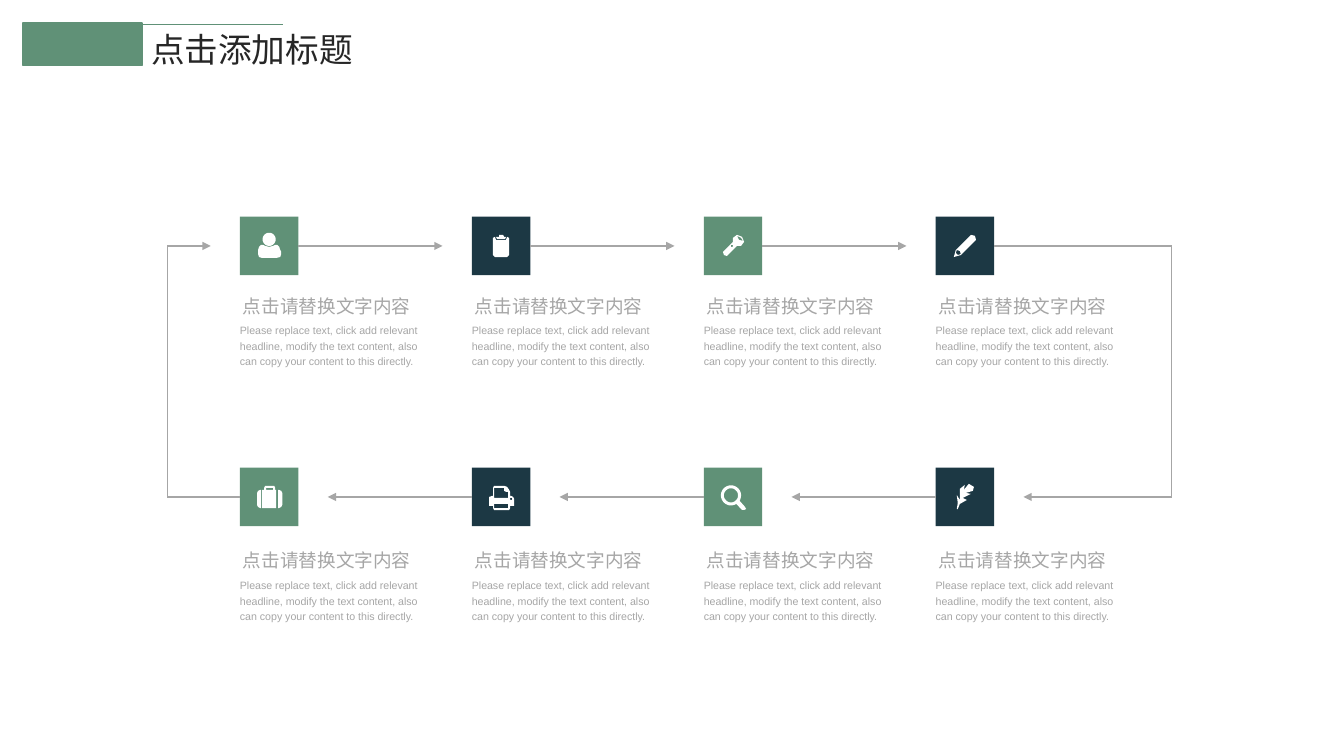
"""Build the eight-step loop slide."""
from math import cos, radians, sin

from pptx import Presentation
from pptx.dml.color import RGBColor
from pptx.enum.shapes import MSO_CONNECTOR, MSO_SHAPE
from pptx.enum.text import MSO_AUTO_SIZE
from pptx.oxml.ns import qn
from pptx.util import Inches, Pt

GREEN = RGBColor(0x60, 0x91, 0x77)
NAVY = RGBColor(0x1C, 0x38, 0x44)
GRAY = RGBColor(0xA6, 0xA6, 0xA6)
DARK = RGBColor(0x26, 0x26, 0x26)
WHITE = RGBColor(0xFF, 0xFF, 0xFF)
RECT = MSO_SHAPE.RECTANGLE
STRAIGHT = MSO_CONNECTOR.STRAIGHT
FIT = MSO_AUTO_SIZE.SHAPE_TO_FIT_TEXT
LEFT_SIDE, RIGHT_SIDE = 1, 3

TITLE = "点击添加标题"
HEADING = "点击请替换文字内容"
BODY = ("Please replace text, click add relevant headline, modify the text "
        "content, also can copy your content to this directly.")
LEFT, STEP, TILE = 2.38, 2.3, 0.58
LOOP_LEFT, LOOP_RIGHT = 1.66, 11.62


def arc(cx, cy, radius, start=0, end=360, count=32):
    """Return points along a circular arc."""
    angles = [radians(start + (end - start) * i / count) for i in range(count + 1)]
    return [(cx + radius * cos(a), cy + radius * sin(a)) for a in angles]


PERSON = [
    [arc(29, 22.5, 6.5)],
    [[(40, 33), (39, 30), (37, 28), (35, 28), (33, 29), (29, 30), (25, 29),
      (23, 28), (21, 28), (19, 30), (18, 33), (18, 37), (19, 40), (22, 41),
      (36, 41), (40, 40), (41, 37), (41, 35)]],
]
CLIPBOARD = [
    [[(35, 20), (34, 23), (24, 23), (23, 20), (21, 21), (21, 38), (23, 40),
      (35, 40), (37, 38), (37, 21)]],
    [[(33, 22), (34, 20), (32, 20), (31, 18), (27, 18), (27, 20), (24, 20),
      (25, 22)]],
]
TORCH = [[
    [(35, 23), (33, 19), (37, 21), (39, 24)],
    [(27, 30), (27, 28), (29, 28), (29, 30)],
    [(38, 20), (33, 18), (29, 21), (29, 25), (19, 35), (20, 38), (23, 39),
     (33, 29), (37, 29), (40, 25)],
]]
PENCIL = [[
    [(25, 37), (22, 38), (20, 36), (21, 33), (24, 34)],
    [(39, 19), (35, 18), (28, 25), (20, 33), (18, 40), (25, 38), (33, 30),
     (40, 23)],
]]
SUITCASE = [
    [[(18, 23), (17, 25), (17, 37), (18, 39), (20, 40), (21, 40), (21, 22),
      (20, 22)]],
    [[(33, 22), (26, 22), (26, 20), (33, 20)],
     [(35, 20), (34, 18), (25, 18), (24, 20), (24, 22), (22, 22), (22, 40),
      (36, 40), (36, 22), (35, 22)]],
    [[(41, 23), (39, 22), (38, 22), (38, 40), (39, 40), (41, 39), (42, 37),
      (42, 25)]],
]
PRINTER = [[
    [(40, 32), (38, 32), (38, 30), (40, 30)],
    [(36, 30), (22, 30), (22, 20), (32, 20), (32, 23), (34, 24), (36, 24)],
    [(36, 40), (22, 40), (22, 36), (36, 36)],
    [(41, 29), (39, 28), (38, 28), (38, 24), (37, 22), (35, 19), (32, 18),
     (22, 18), (21, 20), (21, 28), (20, 28), (17, 29), (17, 38), (21, 38),
     (21, 40), (22, 42), (37, 42), (38, 40), (38, 38), (42, 38), (42, 31)],
]]
MAGNIFIER = [[
    arc(27, 27.5, 7),
    arc(27, 27.5, 10, 58, 392) + [(41, 39), (42, 41), (40, 42), (38, 42)],
]]
FEATHER = [[
    [(22, 41), (24, 36), (31, 32), (27, 30), (35, 26), (30, 25), (37, 23),
     (38, 19), (33, 16), (28, 22), (29, 17), (24, 21), (24, 32), (21, 27),
     (22, 35), (21, 41)],
]]
ROWS = [
    (2.15, 2.88, 3.19, [PERSON, CLIPBOARD, TORCH, PENCIL]),
    (4.64, 5.4, 5.72, [SUITCASE, PRINTER, MAGNIFIER, FEATHER]),
]


class Deck:
    """Hold the current slide and the style of its elements."""

    def __init__(self):
        self.prs = Presentation()
        self.prs.slide_width = Inches(13.33)
        self.prs.slide_height = Inches(7.5)
        self.slide = self.prs.slides.add_slide(self.prs.slide_layouts[6])
        self.shapes = self.slide.shapes

    def group(self):
        """Add an empty group and return its shapes."""
        return self.shapes.add_group_shape().shapes

    def paint(self, sp, color):
        """Give a shape a flat fill without line or shadow."""
        sp.shadow.inherit = False
        sp.fill.solid()
        sp.fill.fore_color.rgb = color
        sp.line.fill.background()

    def rect(self, shapes, x, y, w, h, color):
        """Add a filled rectangle."""
        sp = shapes.add_shape(RECT, Inches(x), Inches(y), Inches(w), Inches(h))
        self.paint(sp, color)
        return sp

    def outline(self, shapes, x, y, contours):
        """Add a white outline given in hundredths of an inch."""
        scaled = [[(px * 10, py * 10) for px, py in c] for c in contours]
        fb = shapes.build_freeform(*scaled[0][0], scale=Inches(0.001))
        for i, points in enumerate(scaled):
            if i:
                fb.move_to(*points[0])
            fb.add_line_segments(points[1:], close=True)
        self.paint(fb.convert_to_shape(Inches(x), Inches(y)), WHITE)

    def tile(self, x, y, color, icon):
        """Add a grouped square with its icon."""
        shapes = self.group()
        sp = self.rect(shapes, x, y, TILE, TILE, color)
        for contours in icon:
            self.outline(shapes, x, y, contours)
        return sp

    def line(self, x1, y1, x2, y2, arrow=False, joined=None, color=GRAY,
             width=1, shapes=None):
        """Add a straight line, optionally with an arrowhead or joined start."""
        cxn = (shapes or self.shapes).add_connector(
            STRAIGHT, Inches(x1), Inches(y1), Inches(x2), Inches(y2))
        if joined:
            cxn.begin_connect(*joined)
        cxn.line.color.rgb = color
        cxn.line.width = Pt(width)
        if arrow:
            ln = cxn.line._get_or_add_ln()
            ln.append(ln.makeelement(qn("a:tailEnd"), {"type": "triangle"}))
        props = cxn._element.spPr
        props.append(props.makeelement(qn("a:effectLst"), {}))

    def text(self, x, y, w, h, text, size, font="Arial", color=GRAY,
             spacing=1.2, inset=0):
        """Add a text box of one paragraph."""
        tf = self.shapes.add_textbox(
            Inches(x), Inches(y), Inches(w), Inches(h)).text_frame
        tf.word_wrap = True
        tf.auto_size = FIT
        tf.margin_left = tf.margin_right = Inches(inset)
        tf.margin_top = tf.margin_bottom = Inches(inset / 2)
        tf.text = text
        p = tf.paragraphs[0]
        p.line_spacing = spacing
        r = p.runs[0]
        r.font.size = Pt(size)
        r.font.name = font
        r.font.color.rgb = color
        props = r.font._element
        props.append(props.makeelement(qn("a:ea"), {"typeface": font}))


def main():
    """Draw the slide and save it."""
    deck = Deck()
    lefts = [LEFT + STEP * i for i in range(4)]
    tiles = [[deck.tile(x, y, NAVY if i % 2 else GREEN, icon)
              for i, (x, icon) in enumerate(zip(lefts, icons))]
             for y, _, _, icons in ROWS]
    upper, lower = [row[0] + TILE / 2 for row in ROWS]
    for i, x in enumerate(lefts):
        last, first = i == 3, i == 0
        deck.line(x + TILE, upper, LOOP_RIGHT if last else x + 2.01, upper,
                  not last, (tiles[0][i], RIGHT_SIDE))
        deck.line(x, lower, LOOP_LEFT if first else x - 1.43, lower,
                  not first, (tiles[1][i], LEFT_SIDE))
    deck.line(LOOP_RIGHT, upper, LOOP_RIGHT, lower)
    deck.line(LOOP_RIGHT, lower, 10.15, lower, True)
    deck.line(LOOP_LEFT, lower, LOOP_LEFT, upper)
    deck.line(LOOP_LEFT, upper, 2.09, upper, True)
    for _, heading_top, body_top, _ in ROWS:
        for x in lefts:
            deck.text(x, body_top, 1.91, 0.46, BODY, 7.6)
            deck.text(x + 0.03, heading_top, 2.36, 0.27, HEADING, 13.3)
    deck.text(1.4, 0.24, 2.38, 0.5, TITLE, 24, "Noto Sans CJK SC", DARK, 1, 0.1)
    banner = deck.group()
    deck.line(0.22, 0.24, 2.81, 0.24, color=GREEN, width=0.5, shapes=banner)
    sp = deck.rect(banner, 0.23, 0.23, 1.18, 0.42, GREEN)
    sp.line.color.rgb = GREEN
    sp.line.width = Pt(1)
    deck.prs.save("out.pptx")


if __name__ == "__main__":
    main()
